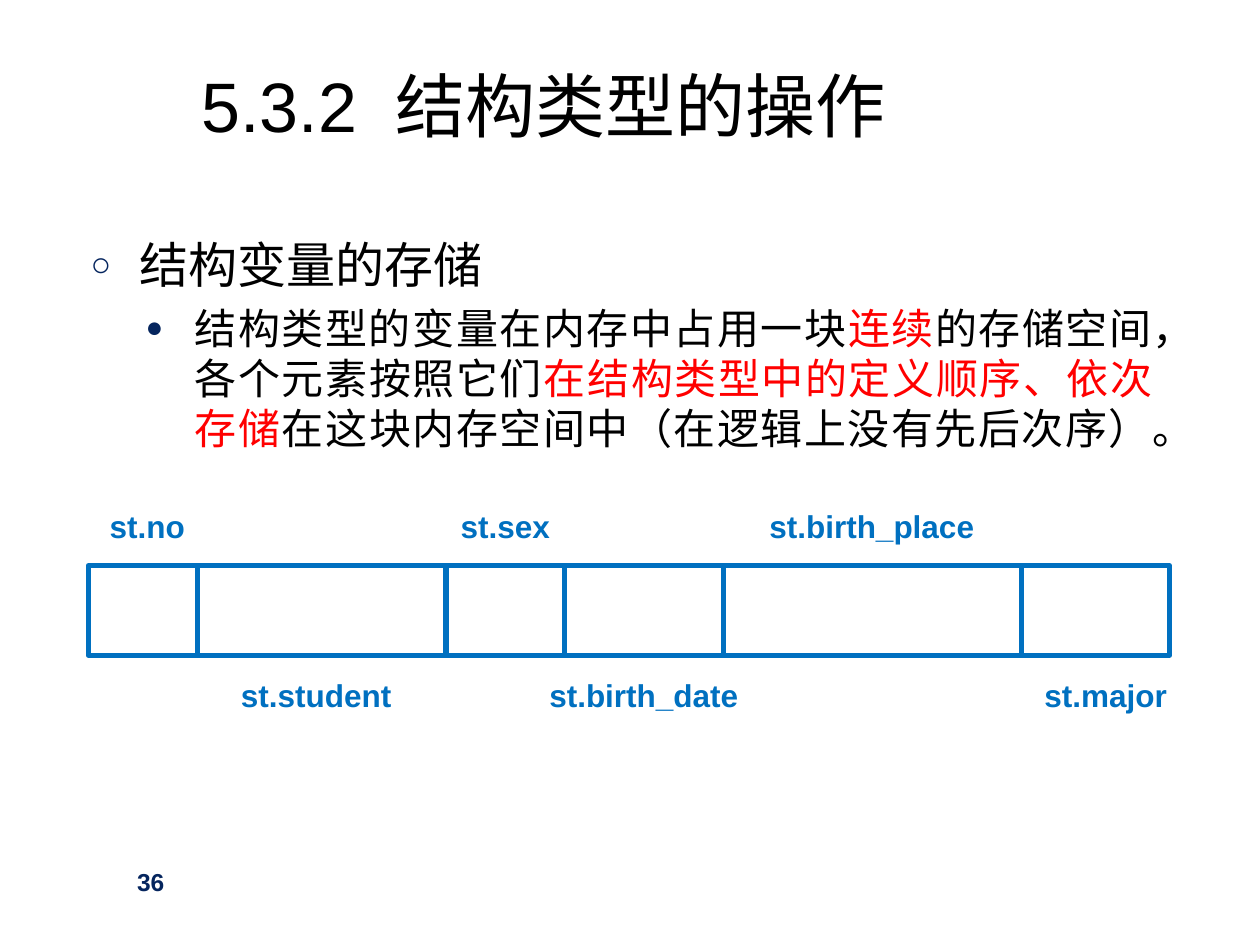
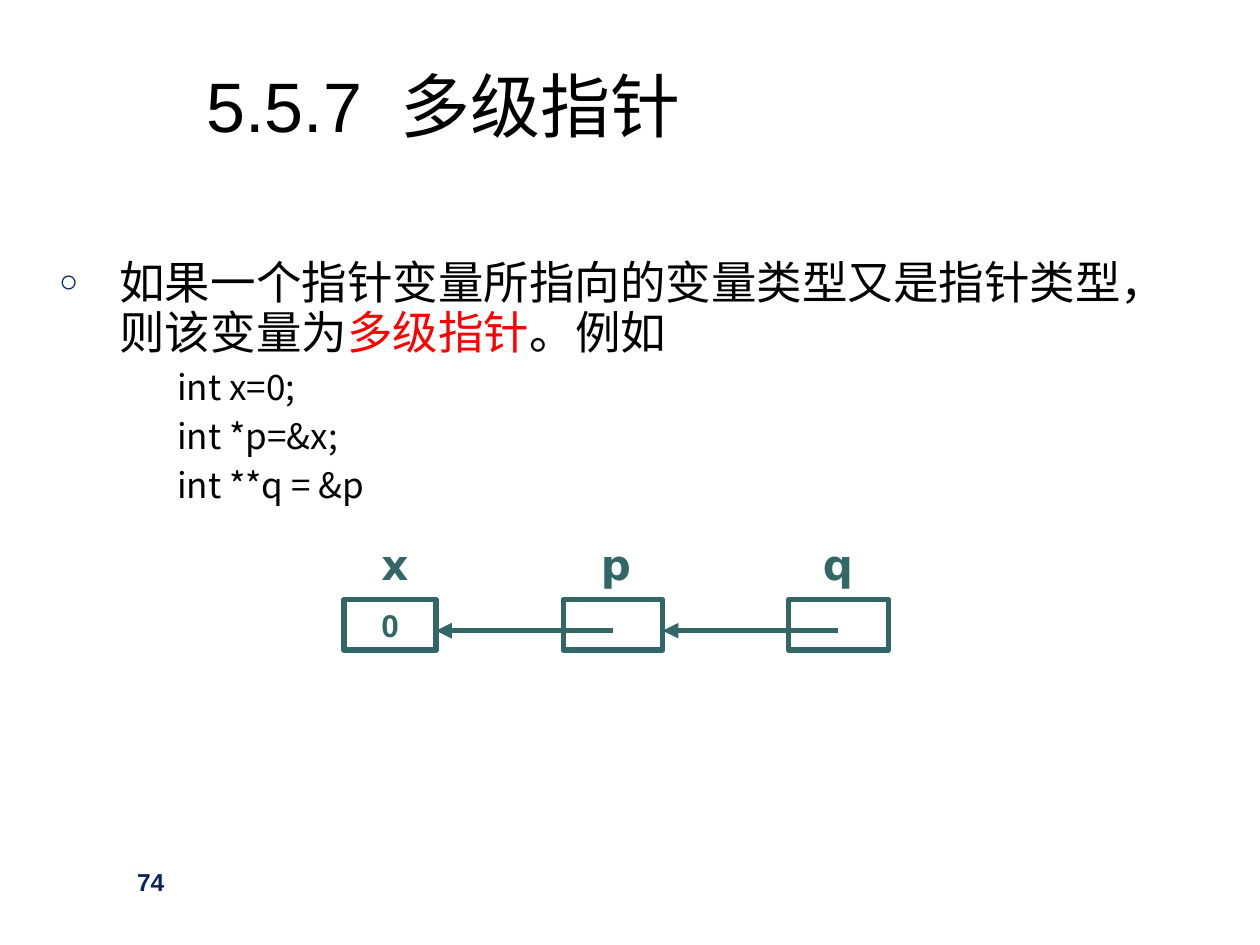
from dataclasses import dataclass

from lxml import etree
from pptx import Presentation
from pptx.dml.color import RGBColor
from pptx.enum.shapes import MSO_CONNECTOR, MSO_SHAPE
from pptx.enum.text import MSO_ANCHOR, MSO_AUTO_SIZE, PP_ALIGN
from pptx.oxml.ns import qn
from pptx.util import Pt

RECTANGLE, STRAIGHT = MSO_SHAPE.RECTANGLE, MSO_CONNECTOR.STRAIGHT
TOP, MIDDLE = MSO_ANCHOR.TOP, MSO_ANCHOR.MIDDLE
LEFT, CENTER, JUSTIFY = PP_ALIGN.LEFT, PP_ALIGN.CENTER, PP_ALIGN.JUSTIFY
FIXED = MSO_AUTO_SIZE.NONE
TITLE_LAYOUT = 1


@dataclass(frozen=True)
class Theme:
    # Colours
    ink: str = "000000"
    accent: str = "FF0000"
    navy: str = "05255E"
    blue: str = "0070C0"
    teal: str = "336666"
    # Fonts
    latin: str = "Arial"
    chinese: str = "Noto Sans CJK SC"
    letter: str = "DejaVu Sans"
    # Type sizes and line width
    title: int = 40
    heading: int = 28
    lead: int = 26
    detail: int = 24
    code: int = 20
    label: int = 18
    number: int = 14
    stroke: int = 3


def apply(target, formats):
    for name, value in formats.items():
        setattr(target, name, value)


class SlideBuilder:
    def __init__(self, deck, theme):
        self.deck, self.theme, self.page = deck, theme, None

    def start(self, number, chapter, title, left):
        """Add a page with its title and page number."""
        theme = self.theme
        self.page = self.deck.slides.add_slide(self.deck.slide_layouts[TITLE_LAYOUT])
        box = self.page.shapes.title
        self.place(box, left, 0, 552, 120)
        para = self.frame(box, MIDDLE).paragraphs[0]
        para.alignment = LEFT
        self.span(para, chapter, theme.title, theme.ink)
        gap = self.span(para, " ", theme.title, theme.ink)
        gap.font._element.set("spc", "1100")
        self.span(para, title, theme.title, theme.ink)
        self.label(number, (71.3, 491.8, 150, 36), theme.number, theme.navy,
                   align=LEFT, anchor=TOP)

    def place(self, box, left, top, width, height):
        apply(box, {"left": Pt(left), "top": Pt(top),
                    "width": Pt(width), "height": Pt(height)})

    def frame(self, box, anchor, wrap=True):
        frame = box.text_frame
        apply(frame, {"word_wrap": wrap, "auto_size": FIXED, "vertical_anchor": anchor})
        return frame

    def span(self, para, text, size, color, font=None, bold=False):
        span = para.add_run()
        span.text = text
        apply(span.font, {"name": font or self.theme.latin, "size": Pt(size), "bold": bold})
        span.font.color.rgb = RGBColor.from_string(color)
        east = etree.SubElement(span.font._element, qn("a:ea"))
        east.set("typeface", self.theme.chinese)
        return span

    def bullet(self, para, mark):
        props = para._p.get_or_add_pPr()
        if not mark:
            etree.SubElement(props, qn("a:buNone"))
            return
        color = etree.SubElement(props, qn("a:buClr"))
        etree.SubElement(color, qn("a:srgbClr"), val=self.theme.navy)
        etree.SubElement(props, qn("a:buSzPct"), val="70000")
        etree.SubElement(props, qn("a:buFont"), typeface=self.theme.latin)
        etree.SubElement(props, qn("a:buChar"), char=mark)

    def body(self, place, items, align):
        """Fill the body; an item is level, mark, margin, indent, size, pitch, spans."""
        box = self.page.placeholders[1]
        self.place(box, *place)
        frame = self.frame(box, TOP)
        frame.margin_top = Pt(6)
        for index, (level, mark, margin, indent, size, pitch, spans) in enumerate(items):
            para = frame.add_paragraph() if index else frame.paragraphs[0]
            self.bullet(para, mark)
            apply(para, {"level": level, "alignment": align, "line_spacing": Pt(pitch),
                         "space_before": Pt(size * 0.2 if index else 0)})
            props = para._p.get_or_add_pPr()
            props.set("marL", str(Pt(margin)))
            props.set("indent", str(Pt(indent)))
            for text, color in spans:
                self.span(para, text, size, color, self.theme.chinese)

    def label(self, text, place, size, color, font=None, align=CENTER, anchor=MIDDLE):
        box = self.page.shapes.add_textbox(*map(Pt, place))
        para = self.frame(box, anchor, wrap=align == LEFT).paragraphs[0]
        para.alignment = align
        self.span(para, text, size, color, font, bold=True)

    def stroke(self, shape, color):
        shape.line.color.rgb = RGBColor.from_string(color)
        shape.line.width = Pt(self.theme.stroke)

    def cell(self, place, color, text=""):
        """Draw an outlined memory cell, with its value if it has one."""
        box = self.page.shapes.add_shape(RECTANGLE, *map(Pt, place))
        box.shadow.inherit = False
        box.fill.background()
        self.stroke(box, color)
        if text:
            para = self.frame(box, MIDDLE).paragraphs[0]
            para.alignment = CENTER
            self.span(para, text, self.theme.label, color, bold=True)

    def line(self, start, end, color, arrow=False):
        line = self.page.shapes.add_connector(STRAIGHT, *map(Pt, start + end))
        self.stroke(line, color)
        if arrow:
            etree.SubElement(line.line._get_or_add_ln(), qn("a:tailEnd"), type="triangle")
        etree.SubElement(line._element.spPr, qn("a:effectLst"))


def build_storage(builder):
    theme = builder.theme
    builder.start("36", "5.3.2", "结构类型的操作", 108)
    builder.body((44.6, 128.2, 621.4, 350), [
        (0, "○", 28, -28, theme.heading, 33.6, [("结构变量的存储", theme.ink)]),
        (1, "●", 59.5, -28, theme.detail, 28.8, [
            ("结构类型的变量在内存中占用一块", theme.ink),
            ("连续", theme.accent),
            ("的存储空间，各个元素按照它们", theme.ink),
            ("在结构类型中的定义顺序、依次存储", theme.accent),
            ("在这块内存空间中（在逻辑上没有先后次序）。", theme.ink)]),
    ], JUSTIFY)

    # Memory block and its field borders
    left, top, width, height = 50.4, 323.3, 617.8, 51.1
    builder.cell((left, top, width, height), theme.blue)
    for border in (113, 254.9, 322.6, 413.3, 583.9):
        builder.line((border, top), (border, top + height), theme.blue)

    # Field names, alternately above and below the block
    fields = [("st.no", 44.6, 79.2), ("st.student", 141.1, 79.2), ("st.sex", 249.1, 79.2),
              ("st.birth_date", 288.7, 158.4), ("st.birth_place", 419, 158.4),
              ("st.major", 572.4, 118.8)]
    for index, (name, start, span) in enumerate(fields):
        row = 380.2 if index % 2 else 283.7
        builder.label(name, (start, row, span, 33.8), theme.label, theme.blue)


def build_pointers(builder):
    theme = builder.theme
    builder.start("74", "5.5.7", "多级指针", 110.9)
    code = ["       int x=0;", "       int *p=&x;", "       int **q = &p"]
    builder.body((26.6, 141.8, 646.6, 181.4), [
        (1, "○", 34.5, -34.5, theme.lead, 28.6, [
            ("如果一个指针变量所指向的变量类型又是指针类型，则该变量为", theme.ink),
            ("多级指针", theme.accent),
            ("。例如", theme.ink)]),
        *[(1, None, 58.3, -22.3, theme.code, 24, [(row, theme.ink)]) for row in code],
    ], LEFT)

    # Variables, each pointing back at the one before
    target = None
    for name, left, width, center, value in [("x", 196.6, 52.6, 225.7, "0"),
                                             ("p", 321.8, 56.9, 352, ""),
                                             ("q", 450.7, 56.9, 478.8, "")]:
        builder.cell((left, 342.7, width, 28.8), theme.teal, value)
        builder.label(name, (center - 15.8, 303.8, 31.6, 36.7), theme.detail,
                      theme.teal, theme.letter)
        if target:
            builder.line((left + width / 2, 360.4), (target, 360.4), theme.teal, arrow=True)
        target = left + width


def main():
    deck = Presentation()
    apply(deck, {"slide_width": Pt(720), "slide_height": Pt(540)})
    builder = SlideBuilder(deck, Theme())
    build_storage(builder)
    build_pointers(builder)
    deck.save("out.pptx")


if __name__ == "__main__":
    main()
